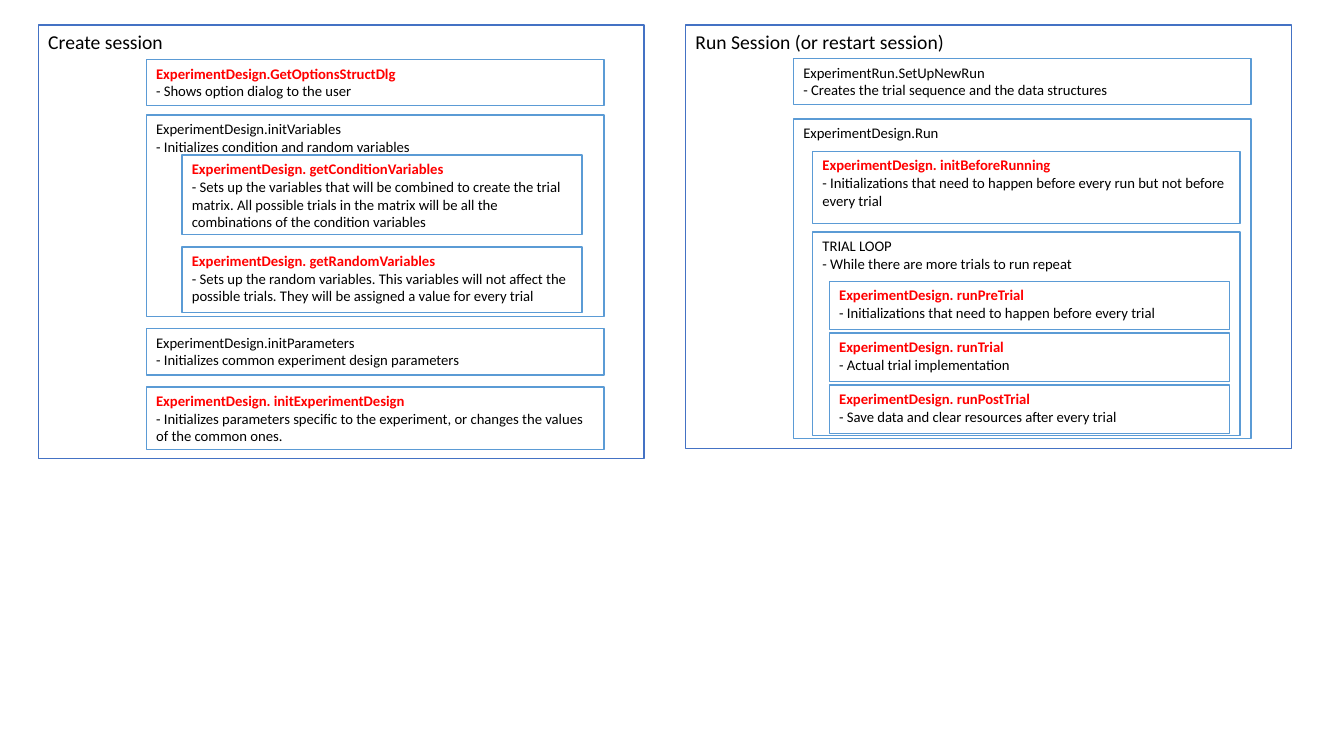
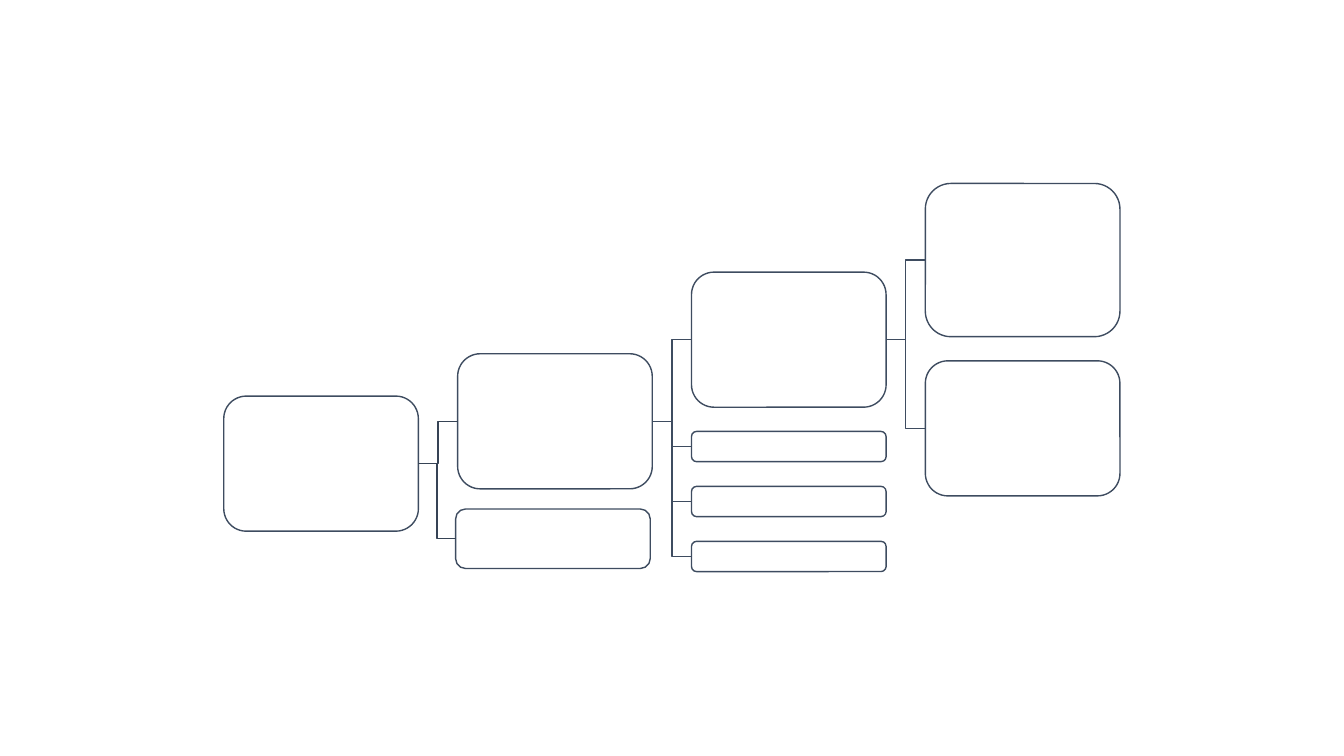
from dataclasses import dataclass
from enum import Enum

from lxml.etree import SubElement
from pptx import Presentation
from pptx.dml.color import RGBColor
from pptx.enum.shapes import MSO_CONNECTOR, MSO_SHAPE
from pptx.enum.text import MSO_ANCHOR, PP_ALIGN
from pptx.oxml.ns import qn
from pptx.util import Inches, Pt


@dataclass(frozen=True)
class Theme:
    font: str = "Calibri"
    heading_size: float = 14
    body_size: float = 10.5
    line_width: float = 1
    paper: str = "FFFFFF"
    ink: str = "000000"
    accent: str = "FF0000"
    panel_line: str = "4472C4"
    step_line: str = "5B9BD5"
    node_line: str = "3E4C60"
    root_link: str = "364355"


THEME = Theme()
SLIDE_W, SLIDE_H = Inches(13.33), Inches(7.5)


class Level(Enum):
    """Nesting depth: indent from the panel's left edge and width, in % of slide width."""
    SESSION = (0, 45.08)
    STEP = (8.03, 34.06)
    INNER = (9.45, 31.81)
    LEAF = (10.69, 29.78)


@dataclass(frozen=True)
class Box:
    """A call in a session; top and height in % of slide height."""
    level: Level
    top: float
    height: float
    title: str
    detail: str = ""
    custom: bool = False  # implemented by each experiment


@dataclass(frozen=True)
class Panel:
    left: float
    boxes: tuple[Box, ...]


@dataclass(frozen=True)
class Node:
    """A tree node; top and height in % of slide height, shift in % of slide width."""
    column: int
    top: float
    height: float
    parent: int | None = None
    shift: float = 0


SHORT_STEP = 6.13
TRIAL_TOP, TRIAL_PITCH, TRIAL_HEIGHT = 37.2, 6.87, 6.4
TRIALS = (
    ("runPreTrial", "Initializations that need to happen before every trial"),
    ("runTrial", "Actual trial implementation"),
    ("runPostTrial", "Save data and clear resources after every trial"),
)

RUN_SESSION = Panel(51.01, (
    Box(Level.SESSION, 3.33, 56, "Run Session (or restart session)"),
    Box(Level.STEP, 7.73, SHORT_STEP, "ExperimentRun.SetUpNewRun",
        "- Creates the trial sequence and the data structures"),
    Box(Level.STEP, 15.73, 42.27, "ExperimentDesign.Run"),
    Box(Level.INNER, 20, 9.6, "ExperimentDesign. initBeforeRunning",
        "- Initializations that need to happen before every run but not before every trial",
        custom=True),
    Box(Level.INNER, 30.67, 26.93, "TRIAL LOOP",
        "- While there are more trials to run repeat"),
    *(Box(Level.LEAF, TRIAL_TOP + i * TRIAL_PITCH, TRIAL_HEIGHT,
          f"ExperimentDesign. {name}", f"- {detail}", custom=True)
      for i, (name, detail) in enumerate(TRIALS)),
))

CREATE_SESSION = Panel(2.85, (
    Box(Level.SESSION, 3.33, 57.33, "Create session"),
    Box(Level.STEP, 7.87, SHORT_STEP, "ExperimentDesign.GetOptionsStructDlg",
        "- Shows option dialog to the user", custom=True),
    Box(Level.STEP, 15.2, 26.67, "ExperimentDesign.initVariables",
        "- Initializes condition and random variables"),
    Box(Level.LEAF, 20.53, 10.53, "ExperimentDesign. getConditionVariables",
        "- Sets up the variables that will be combined to create the trial matrix. "
        "All possible trials in the matrix will be all the combinations of the "
        "condition variables", custom=True),
    Box(Level.LEAF, 32.67, 8.67, "ExperimentDesign. getRandomVariables",
        "- Sets up the random variables. This variables will not affect the possible "
        "trials. They will be assigned a value for every trial", custom=True),
    Box(Level.STEP, 43.47, SHORT_STEP, "ExperimentDesign.initParameters",
        "- Initializes common experiment design parameters"),
    Box(Level.STEP, 51.2, 8.27, "ExperimentDesign. initExperimentDesign",
        "- Initializes parameters specific to the experiment, or changes the values "
        "of the common ones.", custom=True),
))

TREE_LEFT, COLUMN_PITCH, NODE_WIDTH = 16.65, 17.4, 14.48
NODE_HEIGHT = 17.87
SLIM_TOP, SLIM_PITCH, SLIM_HEIGHT = 57.07, 7.27, 4
TREE = (
    Node(0, 52.4, NODE_HEIGHT),
    Node(1, 46.8, NODE_HEIGHT, parent=0),
    Node(1, 67.33, 7.87, parent=0, shift=-0.15),
    Node(2, 36, NODE_HEIGHT, parent=1),
    *(Node(2, SLIM_TOP + i * SLIM_PITCH, SLIM_HEIGHT, parent=1) for i in range(3)),
    Node(3, 24.27, 20.27, parent=3),
    Node(3, 47.73, NODE_HEIGHT, parent=3),
)


def rgb(color: str) -> RGBColor:
    return RGBColor.from_string(color)


def across(percent: float) -> int:
    return round(SLIDE_W * percent / 100)


def down(percent: float) -> int:
    return round(SLIDE_H * percent / 100)


def add_outlined(s, kind: MSO_SHAPE, left: float, top: float,
                 width: float, height: float, line: str):
    sp = s.shapes.add_shape(kind, across(left), down(top), across(width), down(height))
    sp.shadow.inherit = False
    sp.fill.solid()
    sp.fill.fore_color.rgb = rgb(THEME.paper)
    sp.line.color.rgb = rgb(line)
    sp.line.width = Pt(THEME.line_width)
    return sp


def add_box(s, panel: Panel, box: Box) -> None:
    indent, width = box.level.value
    is_session = box.level is Level.SESSION
    sp = add_outlined(s, MSO_SHAPE.RECTANGLE, panel.left + indent, box.top, width, box.height,
                      THEME.panel_line if is_session else THEME.step_line)
    tf = sp.text_frame
    tf.word_wrap = True
    tf.vertical_anchor = MSO_ANCHOR.TOP
    tf.text = "\n".join(filter(None, (box.title, box.detail)))
    for i, p in enumerate(tf.paragraphs):
        p.alignment = PP_ALIGN.LEFT
        highlighted = box.custom and i == 0
        for r in p.runs:
            r.font.name = THEME.font
            r.font.size = Pt(THEME.heading_size if is_session else THEME.body_size)
            r.font.bold = highlighted
            r.font.color.rgb = rgb(THEME.accent if highlighted else THEME.ink)


def add_link(s, parent, child, color: str) -> None:
    """Join the parent's right side to the child's left side with an elbow."""
    link = s.shapes.add_connector(
        MSO_CONNECTOR.ELBOW,
        parent.left + parent.width, parent.top + parent.height // 2,
        child.left, child.top + child.height // 2)
    link.begin_connect(parent, 3)
    link.end_connect(child, 1)
    link.line.color.rgb = rgb(color)
    link.line.width = Pt(THEME.line_width)
    SubElement(link._element.spPr, qn("a:effectLst"))


def add_tree(s, nodes: tuple[Node, ...]) -> None:
    shapes = [
        add_outlined(s, MSO_SHAPE.ROUNDED_RECTANGLE,
                     TREE_LEFT + n.column * COLUMN_PITCH + n.shift, n.top,
                     NODE_WIDTH, n.height, THEME.node_line)
        for n in nodes]
    for n, sp in zip(nodes, shapes):
        if n.parent is not None:
            add_link(s, shapes[n.parent], sp,
                     THEME.root_link if n.parent == 0 else THEME.node_line)


def main() -> None:
    prs = Presentation()
    prs.slide_width, prs.slide_height = SLIDE_W, SLIDE_H
    blank = prs.slide_layouts[6]

    s = prs.slides.add_slide(blank)
    for panel in (RUN_SESSION, CREATE_SESSION):
        for box in panel.boxes:
            add_box(s, panel, box)

    add_tree(prs.slides.add_slide(blank), TREE)
    prs.save("out.pptx")


if __name__ == "__main__":
    main()
